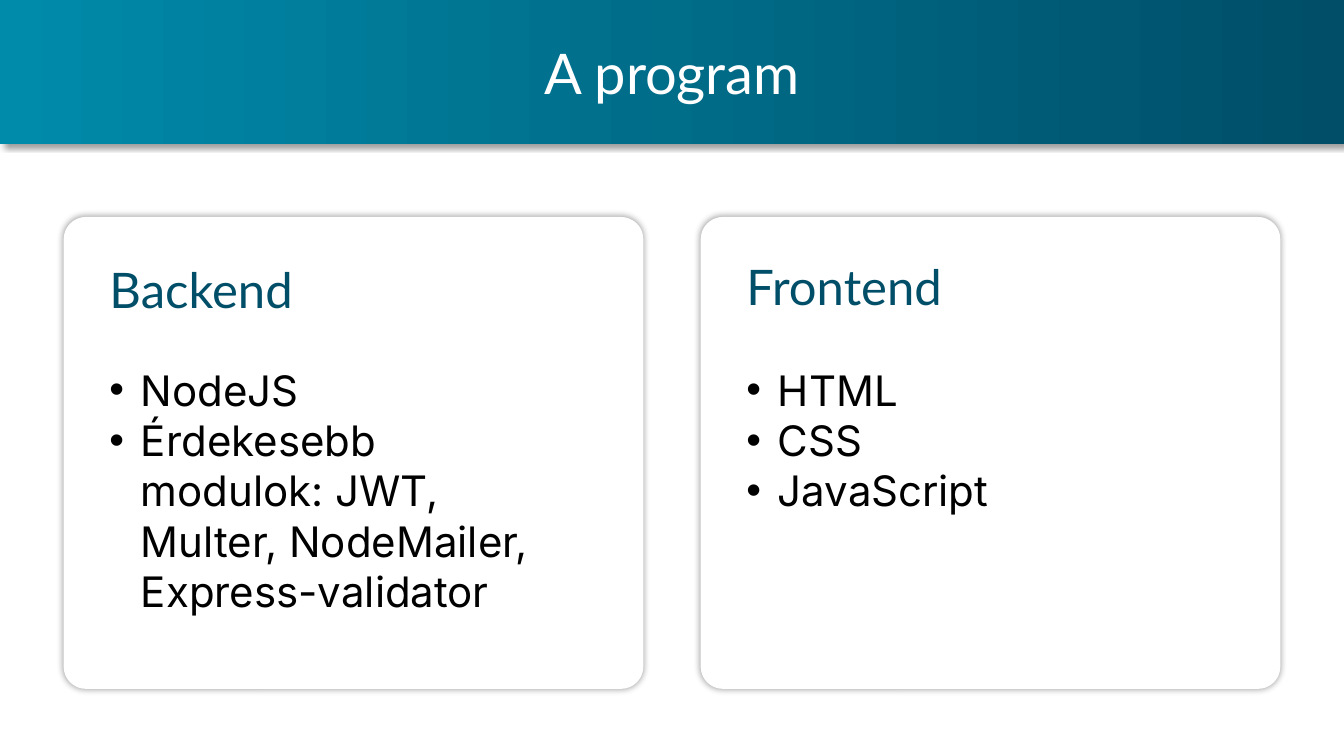
import pptx
import pptx.util
import pptx.oxml
import pptx.oxml.ns
import pptx.dml.color
import pptx.enum.shapes
import pptx.enum.text

Pt = pptx.util.Pt
RGBColor = pptx.dml.color.RGBColor
qn = pptx.oxml.ns.qn
MSO_ANCHOR = pptx.enum.text.MSO_ANCHOR
PP_ALIGN = pptx.enum.text.PP_ALIGN
MSO_AUTO_SIZE = pptx.enum.text.MSO_AUTO_SIZE

TEAL = RGBColor(0x00, 0x8B, 0xAA)
NAVY = RGBColor(0x00, 0x4E, 0x68)
WHITE = RGBColor(0xFF, 0xFF, 0xFF)
BLACK = RGBColor(0x00, 0x00, 0x00)

WIDTH, HEIGHT = 960, 540
HANG = 22.5

# Heading and list placeholders, heading drop, heading, list
CARDS = [
    (1, 2, 26.5, "Backend",
     ["NodeJS", "Érdekesebb modulok: JWT, Multer, NodeMailer, Express-validator"]),
    (3, 4, 24.5, "Frontend", ["HTML", "CSS", "JavaScript"]),
]


def place(shape, left, top, width, height):
    shape.left, shape.top = Pt(left), Pt(top)
    shape.width, shape.height = Pt(width), Pt(height)


def shade(shape, blur, dist, angle):
    """Give a shape a soft black shadow; blur and dist in points."""
    shape.shadow.inherit = False
    effects = shape.element.spPr.find(qn("a:effectLst"))
    effects.append(pptx.oxml.parse_xml(
        f'<a:outerShdw {pptx.oxml.ns.nsdecls("a")} blurRad="{Pt(blur)}" '
        f'dist="{Pt(dist)}" dir="{angle * 60000}" algn="ctr" rotWithShape="0">'
        '<a:srgbClr val="000000"><a:alpha val="40000"/></a:srgbClr>'
        '</a:outerShdw>'))


def write(shape, lines, face, size, color, align=PP_ALIGN.LEFT,
          anchor=MSO_ANCHOR.TOP, fit=MSO_AUTO_SIZE.SHAPE_TO_FIT_TEXT):
    frame = shape.text_frame
    frame.text = "\n".join(lines)
    frame.word_wrap = True
    frame.auto_size = fit
    frame.vertical_anchor = anchor
    for para in frame.paragraphs:
        para.alignment = align
        para.space_before = Pt(0)
        font = para.font
        font.name, font.size, font.bold = face, Pt(size), False
        font.color.rgb = color


def bullet(shape):
    for para in shape.text_frame.paragraphs:
        props = para._p.get_or_add_pPr()
        props.set("marL", str(Pt(HANG)))
        props.set("indent", str(-Pt(HANG)))
        mark = pptx.oxml.parse_xml(
            f'<a:buChar {pptx.oxml.ns.nsdecls("a")} char="•"/>')
        props.find(qn("a:defRPr")).addprevious(mark)


def add_band(slide, left, top, width, height):
    band = slide.shapes.title
    place(band, left, top, width, height)
    band.fill.gradient()
    band.fill.gradient_angle = 0
    for stop, color in zip(band.fill.gradient_stops, (TEAL, NAVY)):
        stop.color.rgb = color
    shade(band, 4, 3, 45)
    write(band, ["A program"], "Lato", 40, WHITE, PP_ALIGN.CENTER,
          MSO_ANCHOR.MIDDLE, MSO_AUTO_SIZE.NONE)


def add_card(slide, left, top, width, height, card):
    head_id, list_id, drop, title, items = card
    # Panel, sent behind the placeholders
    panel = slide.shapes.add_shape(
        pptx.enum.shapes.MSO_SHAPE.ROUNDED_RECTANGLE,
        Pt(left), Pt(top), Pt(width), Pt(height))
    panel.adjustments[0] = 0.047
    panel.fill.solid()
    panel.fill.fore_color.rgb = WHITE
    panel.line.fill.background()
    shade(panel, 5, 0, 0)
    slide.shapes.element.insert(2, panel.element)

    # Heading
    holders = {holder.placeholder_format.idx: holder
               for holder in slide.placeholders}
    head = holders[head_id]
    place(head, left + 25.5, top + drop, 232, 49.5)
    write(head, [title], "Lato", 35, NAVY)

    # Bulleted list
    body = holders[list_id]
    place(body, left + 25.5, top + 101.5, 330, 7.2 + 36.3 * len(items))
    write(body, items, "Inter", 30, BLACK)
    bullet(body)


def main():
    deck = pptx.Presentation()
    deck.slide_width, deck.slide_height = Pt(WIDTH), Pt(HEIGHT)
    slide = deck.slides.add_slide(deck.slide_layouts.get_by_name("Comparison"))
    for holder in list(slide.placeholders):
        if holder.placeholder_format.idx > 4:
            holder.element.getparent().remove(holder.element)

    add_band(slide, 0, 0, WIDTH, 103)
    for col, card in enumerate(CARDS):
        add_card(slide, 45.5 + 455 * col, 155, 414, 337, card)
    deck.save("out.pptx")


if __name__ == "__main__":
    main()
